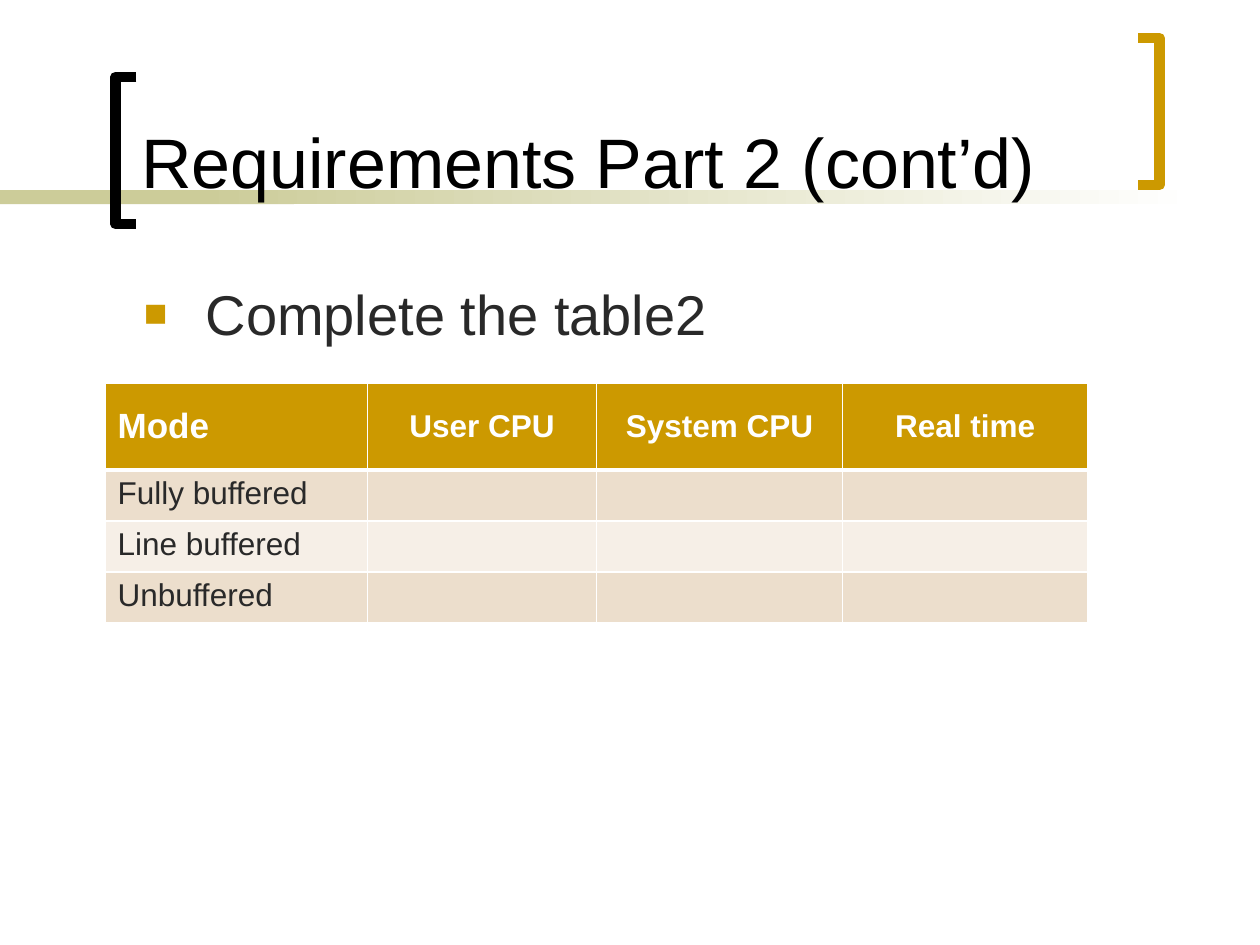
from typing import NamedTuple

from lxml.etree import SubElement
from pptx import Presentation
from pptx.dml.color import RGBColor
from pptx.enum.text import MSO_ANCHOR, MSO_AUTO_SIZE, PP_ALIGN
from pptx.enum.shapes import MSO_SHAPE
from pptx.oxml.ns import qn
from pptx.util import Pt

BLACK = RGBColor(0x00, 0x00, 0x00)
WHITE = RGBColor(0xFF, 0xFF, 0xFF)
GOLD = RGBColor(0xCC, 0x99, 0x00)
OLIVE = RGBColor(0xCC, 0xCC, 0x99)
CHARCOAL = RGBColor(0x29, 0x29, 0x29)
SAND = RGBColor(0xEC, 0xDE, 0xCC)
CREAM = RGBColor(0xF6, 0xEF, 0xE7)
FONT = "Arial"
BRACKET_WIDTH, BRACKET_HEIGHT = 12, 84


class Bracket(NamedTuple):
    spine: float  # x of the long stroke
    top: float
    reach: float  # signed length of the short strokes
    color: RGBColor


class Band(NamedTuple):
    left: float
    width: float
    fades: bool


BRACKETS = [
    Bracket(66, 44, BRACKET_WIDTH, BLACK),
    Bracket(662.5, 21.75, -BRACKET_WIDTH, GOLD),
]
BANDS = [Band(0, 168, False), Band(114, 570, True)]
COLUMN_WIDTHS = [150, 131, 140.4, 140.4]
ROW_HEIGHTS = [49.5, 29.2, 29.2, 29.2]
HEADINGS = ["Mode", "User CPU", "System CPU", "Real time"]
MODES = ["Fully buffered", "Line buffered", "Unbuffered"]


def draw_band(shapes, band: Band) -> None:
    bar = shapes.add_shape(
        MSO_SHAPE.RECTANGLE, Pt(band.left), Pt(108.75), Pt(band.width), Pt(8))
    bar.shadow.inherit = False
    bar.line.fill.background()
    if band.fades:
        bar.fill.gradient()
        bar.fill.gradient_angle = 0
        for stop, color, position in zip(
                bar.fill.gradient_stops, (OLIVE, WHITE), (0, 1)):
            stop.color.rgb = color
            stop.position = position
    else:
        bar.fill.solid()
        bar.fill.fore_color.rgb = OLIVE


def draw_bracket(shapes, bracket: Bracket) -> None:
    tip = Pt(bracket.spine + bracket.reach)
    spine = Pt(bracket.spine)
    top, bottom = Pt(bracket.top), Pt(bracket.top + BRACKET_HEIGHT)
    builder = shapes.build_freeform(tip, top)
    builder.add_line_segments(
        [(spine, top), (spine, bottom), (tip, bottom)], close=False)
    outline = builder.convert_to_shape()
    outline.shadow.inherit = False
    outline.fill.background()
    outline.line.color.rgb = bracket.color
    outline.line.width = Pt(6)


def style(paragraph, size: float, color: RGBColor, bold: bool = False) -> None:
    paragraph.font.name = FONT
    paragraph.font.size = Pt(size)
    paragraph.font.color.rgb = color
    paragraph.font.bold = bold


def place(placeholder, left: float, top: float, width: float, height: float,
          text: str, anchor: MSO_ANCHOR):
    """Move and fill a placeholder; return its paragraph."""
    placeholder.left, placeholder.top = Pt(left), Pt(top)
    placeholder.width, placeholder.height = Pt(width), Pt(height)
    frame = placeholder.text_frame
    frame.text = text
    frame.word_wrap = True
    frame.auto_size = MSO_AUTO_SIZE.NONE
    frame.vertical_anchor = anchor
    paragraph = frame.paragraphs[0]
    paragraph.alignment = PP_ALIGN.LEFT
    return paragraph


def add_square_bullet(paragraph, indent: float) -> None:
    properties = paragraph._p.get_or_add_pPr()
    properties.set("marL", str(Pt(indent)))
    properties.set("indent", str(-Pt(indent)))
    color = SubElement(properties, qn("a:buClr"))
    SubElement(color, qn("a:srgbClr"), val=str(GOLD))
    SubElement(properties, qn("a:buSzPct"), val="70000")
    SubElement(properties, qn("a:buFont"), typeface=FONT)
    SubElement(properties, qn("a:buChar"), char="■")


def add_borders(cell, top: float, bottom: float) -> None:
    properties = cell._tc.get_or_add_tcPr()
    widths = {"a:lnL": 1, "a:lnR": 1, "a:lnT": top, "a:lnB": bottom}
    for side, width in widths.items():
        line = SubElement(properties, qn(side), w=str(Pt(width)))
        fill = SubElement(line, qn("a:solidFill"))
        SubElement(fill, qn("a:srgbClr"), val=str(WHITE))


def draw_table(shapes) -> None:
    rows = [HEADINGS] + [[mode, "", "", ""] for mode in MODES]
    table = shapes.add_table(
        len(rows), len(HEADINGS), Pt(60), Pt(219),
        Pt(sum(COLUMN_WIDTHS)), Pt(sum(ROW_HEIGHTS))).table
    for column, width in zip(table.columns, COLUMN_WIDTHS):
        column.width = Pt(width)
    for row, height in zip(table.rows, ROW_HEIGHTS):
        row.height = Pt(height)

    for r, texts in enumerate(rows):
        header = r == 0
        for c, text in enumerate(texts):
            cell = table.cell(r, c)
            cell.text = text
            add_borders(cell, 3 if r == 1 else 1, 3 if header else 1)
            cell.fill.solid()
            cell.fill.fore_color.rgb = GOLD if header else (CREAM, SAND)[r % 2]
            paragraph = cell.text_frame.paragraphs[0]
            if header:
                cell.vertical_anchor = MSO_ANCHOR.MIDDLE
                if c > 0:
                    paragraph.alignment = PP_ALIGN.CENTER
            style(paragraph, 20 if header and c == 0 else 18,
                  WHITE if header else CHARCOAL, bold=header)


def main() -> None:
    presentation = Presentation()
    presentation.slide_width, presentation.slide_height = Pt(720), Pt(540)
    slide = presentation.slides.add_slide(presentation.slide_layouts[1])
    shapes = slide.shapes
    title, body = slide.placeholders

    for band in BANDS:
        draw_band(shapes, band)
    for bracket in BRACKETS:
        draw_bracket(shapes, bracket)
    # Bring the text in front of the decoration.
    for placeholder in (title, body):
        shapes.element.append(placeholder.element)

    heading = place(title, 73.5, 8, 564, 111.5,
                    "Requirements Part 2 (cont’d)", MSO_ANCHOR.BOTTOM)
    style(heading, 40, BLACK)
    task = place(body, 75, 156, 603, 324,
                 "Complete the table2", MSO_ANCHOR.TOP)
    task.space_before = Pt(4)
    add_square_bullet(task, 35.3)
    style(task, 32, CHARCOAL)
    draw_table(shapes)

    presentation.save("out.pptx")


if __name__ == "__main__":
    main()
